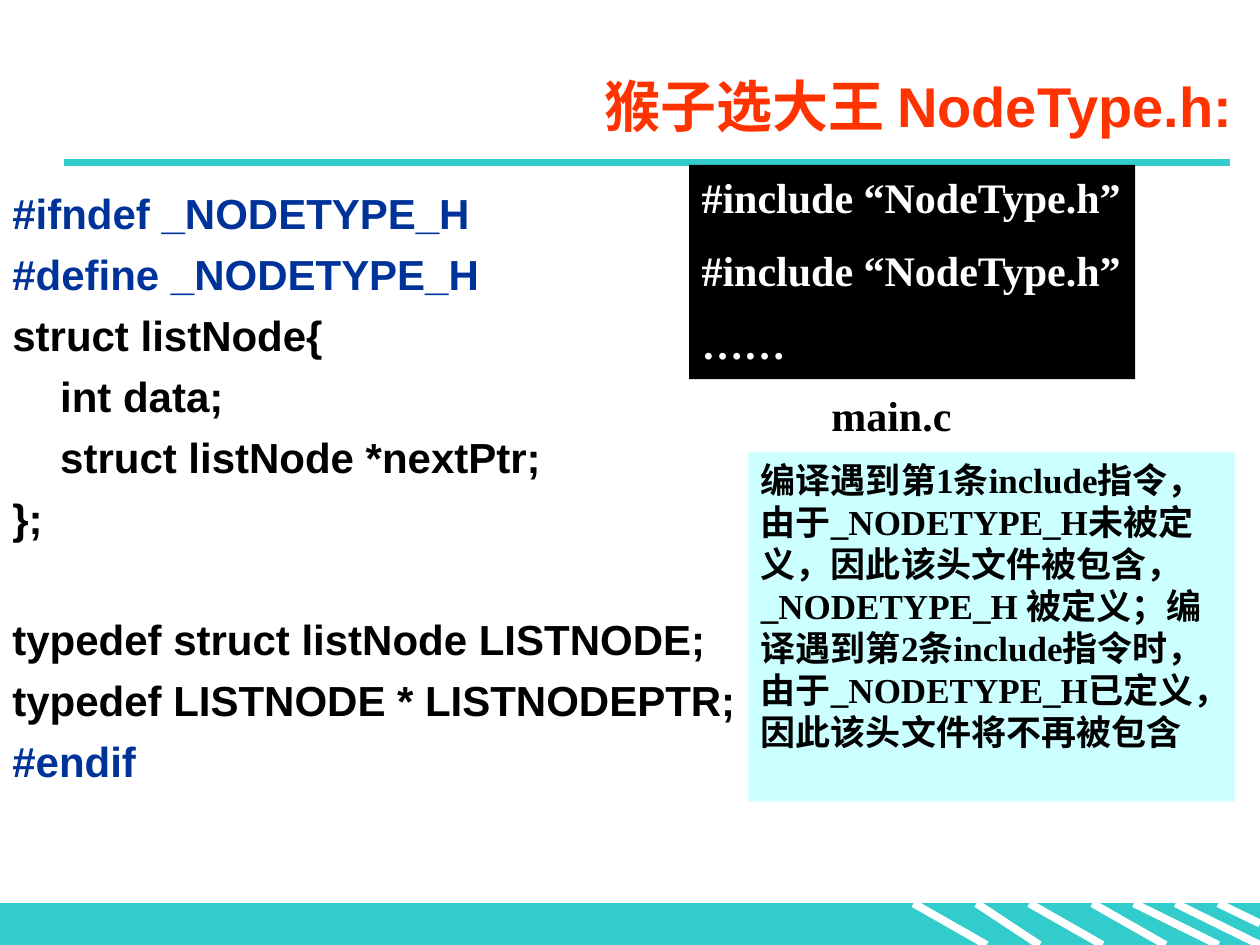
from lxml import etree
from pptx import Presentation, util as u
from pptx.dml.color import RGBColor
from pptx.enum import shapes, text
from pptx.oxml.ns import qn

TEAL, WHITE, BLACK, BLUE = "33CCCC", "FFFFFF", "000000", "003399"


def color(value):
    return RGBColor.from_string(value)


class SlideBuilder:
    """Holds the slide and its style, and adds each kind of element."""

    def __init__(self, slide):
        self.slide = slide
        self.line_width = u.Pt(4.5)

    def line(self, x1, y1, x2, y2, stroke):
        connector = self.slide.shapes.add_connector(
            shapes.MSO_CONNECTOR.STRAIGHT, *map(u.Inches, (x1, y1, x2, y2)))
        connector.line.color.rgb = color(stroke)
        connector.line.width = self.line_width
        etree.SubElement(connector._element.spPr, qn("a:effectLst"))

    def box(self, left, top, width, height, fill):
        shape = self.slide.shapes.add_shape(
            shapes.MSO_SHAPE.RECTANGLE, *map(u.Inches, (left, top, width, height)))
        shape.shadow.inherit = False
        shape.fill.solid()
        shape.fill.fore_color.rgb = color(fill)
        shape.line.fill.background()
        return shape

    def textbox(self, left, top, width, height):
        return self.slide.shapes.add_textbox(
            *map(u.Inches, (left, top, width, height)))

    def add_text(self, shape, lines, size, font="Times New Roman", gap=0, hanging=0,
                 align=text.PP_ALIGN.LEFT, anchor=text.MSO_ANCHOR.TOP):
        frame = shape.text_frame
        frame.word_wrap = True
        frame.vertical_anchor = anchor
        for index, (content, ink, extra) in enumerate(lines):
            paragraph = frame.add_paragraph() if index else frame.paragraphs[0]
            paragraph.alignment = align
            paragraph.space_before = u.Pt(gap + extra)
            if hanging:
                properties = paragraph._p.get_or_add_pPr()
                properties.set("marL", str(u.Inches(hanging)))
                properties.set("indent", str(-u.Inches(hanging)))
            run = paragraph.add_run()
            run.text = content
            run.font.name = font
            run.font.size = u.Pt(size)
            run.font.bold = True
            run.font.color.rgb = color(ink)


presentation = Presentation()
presentation.slide_width, presentation.slide_height = u.Inches(10), u.Inches(7.5)
builder = SlideBuilder(presentation.slides.add_slide(presentation.slide_layouts[6]))

footer = builder.box(0, 7.17, 10, 0.33, TEAL)
footer.line.color.rgb = color(TEAL)
footer.line.width = u.Pt(0.75)
stripes = [(7.25, 7.83, 7.5), (7.75, 8.25, 7.5), (8.17, 8.75, 7.5), (8.67, 9.25, 7.5),
           (9, 9.67, 7.5), (9.33, 10, 7.5), (9.67, 10, 7.33)]
for start, end, bottom in stripes:
    builder.line(start, 7.17, end, bottom, WHITE)
builder.line(0.51, 1.29, 9.76, 1.29, TEAL)

title = builder.textbox(1.38, 0.44, 8.5, 0.79)
builder.add_text(title, [("猴子选大王 NodeType.h:", "FF3300", 0)], 32, "Arial",
                 align=text.PP_ALIGN.RIGHT, anchor=text.MSO_ANCHOR.MIDDLE)

header_code = [
    ("#ifndef _NODETYPE_H", BLUE, 0),
    ("#define _NODETYPE_H", BLUE, 0),
    ("struct listNode{", BLACK, 0),
    ("\tint data;", BLACK, 0),
    ("\tstruct listNode *nextPtr; ", BLACK, 0),
    ("};", BLACK, 0),
    ("typedef struct listNode LISTNODE;", BLACK, 33.7),
    ("typedef LISTNODE * LISTNODEPTR; ", BLACK, 0),
    ("#endif", BLUE, 0),
]
builder.add_text(builder.textbox(0, 1.44, 8.5, 5.46), header_code, 24, "Arial",
                 gap=6.1, hanging=0.38)

include = ("#include “NodeType.h”", WHITE, 0)
builder.add_text(builder.box(5.47, 1.31, 3.54, 1.7, BLACK),
                 [include, include, ("……", WHITE, 0)], 24, gap=13)
builder.add_text(builder.textbox(6.5, 3.04, 1.97, 0.5), [("main.c", BLACK, 0)], 24)

explanation = ("编译遇到第1条include指令，由于_NODETYPE_H未被定义，因此该头文件被包含， "
               "_NODETYPE_H 被定义；编译遇到第2条include指令时，由于_NODETYPE_H已定义，"
               "因此该头文件将不再被包含")
builder.add_text(builder.box(5.94, 3.59, 3.86, 2.77, "CCFFFF"),
                 [(explanation, BLACK, 0)], 20)

presentation.save("out.pptx")
